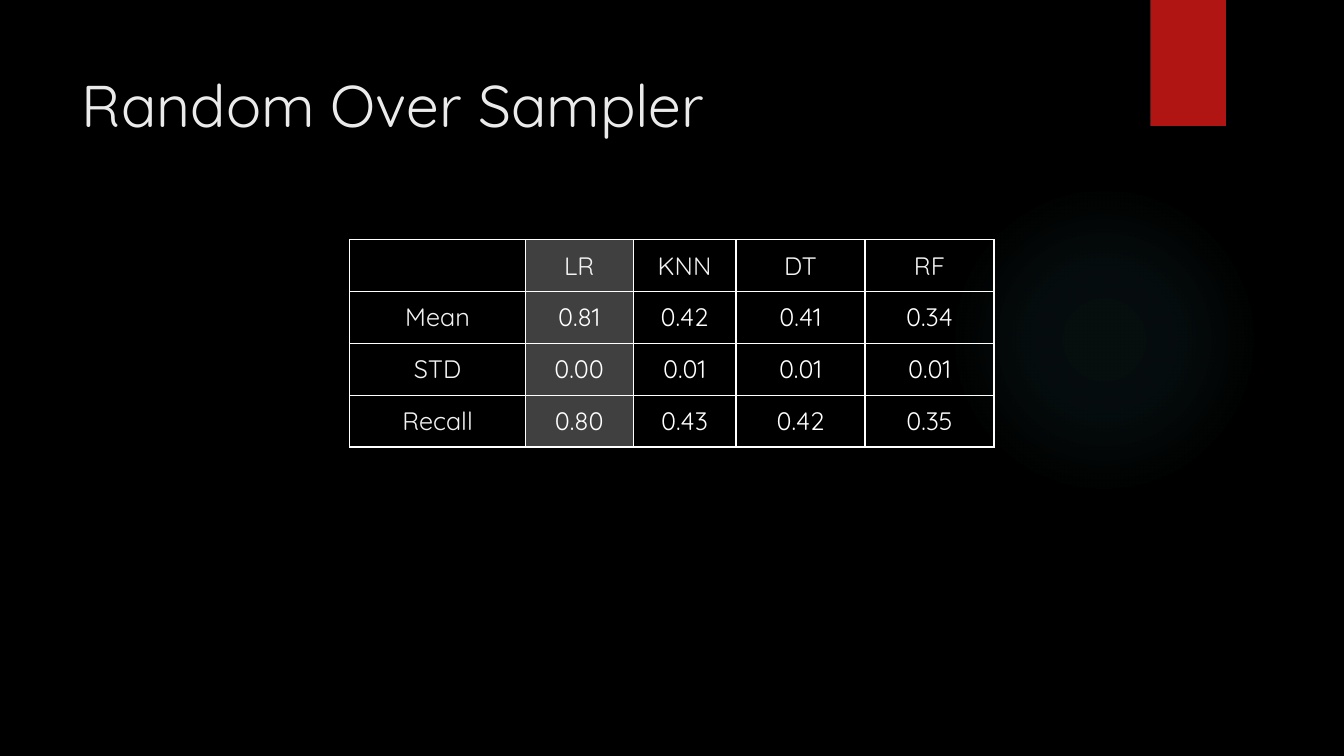
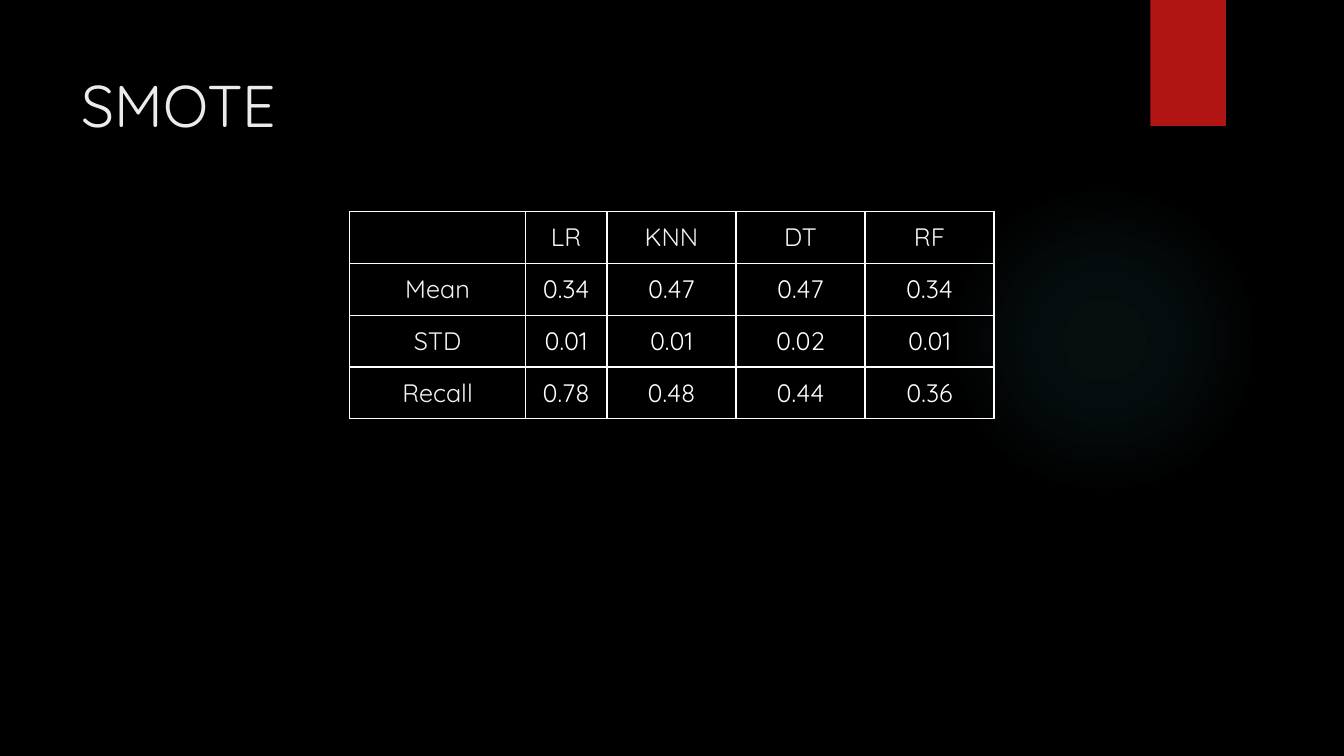
from pptx import Presentation
from pptx import oxml
from pptx.dml.color import RGBColor
from pptx.enum import shapes, text
from pptx.oxml import ns
from pptx.util import Inches, Pt

COLORS = {
    "background": "000000",
    "glow": "50B9C1",
    "ribbon": "B01513",
    "title": "EBEBEB",
    "label": "F3F3F3",
    "value": "FFFFFF",
    "border": "FFFFFF",
    "highlight": "404040",
}
FONT = "Quicksand"
TITLE_FONT = {"name": FONT, "size": Pt(42), "bold": False}
CELL_FONT = {"name": FONT, "size": Pt(18), "bold": False}
TITLE_BOX = {"left": Inches(0.71), "top": Inches(0.61),
             "width": Inches(10.29), "height": Inches(0.84)}
TITLE_FRAME = {"word_wrap": True, "vertical_anchor": text.MSO_ANCHOR.MIDDLE}
CELL_FRAME = {f"margin_{side}": Inches(0.1)
              for side in ("left", "right", "top", "bottom")}
PLAIN_TABLE = {"first_row": False, "horz_banding": False}
TABLE_LEFT, ROW_HEIGHT = 3.47, 0.51
MODELS = ["", "LR", "KNN", "DT", "RF"]
RESULTS = [
    {
        "title": "Random Over Sampler",
        "top": 2.38,
        "widths": [1.74, 1.07, 1.02, 1.28, 1.28],
        "best": "LR",
        "rows": [
            ["Mean", "0.81", "0.42", "0.41", "0.34"],
            ["STD", "0.00", "0.01", "0.01", "0.01"],
            ["Recall", "0.80", "0.43", "0.42", "0.35"],
        ],
    },
    {
        "title": "SMOTE",
        "top": 2.1,
        "widths": [1.74, 0.81, 1.28, 1.28, 1.28],
        "best": None,
        "rows": [
            ["Mean", "0.34", "0.47", "0.47", "0.34"],
            ["STD", "0.01", "0.01", "0.02", "0.01"],
            ["Recall", "0.78", "0.48", "0.44", "0.36"],
        ],
    },
]


def rgb(name):
    """Return the named palette colour."""
    return RGBColor.from_string(COLORS[name])


def apply(target, formats):
    """Set every format value on the target."""
    for key, value in formats.items():
        setattr(target, key, value)


def xml(tag, body, attrs=""):
    """Build a DrawingML element."""
    return oxml.parse_xml(
        f"<a:{tag} {ns.nsdecls('a')} {attrs}>{body}</a:{tag}>")


def color_xml(name, alpha=100):
    """Return colour markup with an opacity in percent."""
    return (f'<a:srgbClr val="{COLORS[name]}">'
            f'<a:alpha val="{alpha * 1000}"/></a:srgbClr>')


def add_plain_shape(s, kind, box):
    """Add a shape without fill, line or shadow."""
    sp = s.shapes.add_shape(kind, *map(Inches, box))
    sp.shadow.inherit = False
    sp.fill.background()
    sp.line.fill.background()
    return sp


def add_glow(s):
    """Add the faint round glow."""
    sp = add_plain_shape(s, shapes.MSO_SHAPE.OVAL, (9.41, 1.83, 3.08, 3.08))
    stops = "".join(
        f'<a:gs pos="{pos * 1000}">{color_xml("glow", alpha)}</a:gs>'
        for pos, alpha in ((0, 7), (36, 6), (69, 0)))
    center = 'l="50000" t="50000" r="50000" b="50000"'
    gradient = xml("gradFill", f'<a:gsLst>{stops}</a:gsLst><a:path path="circle">'
                   f'<a:fillToRect {center}/></a:path>')
    props = sp.element.spPr
    props.replace(props.find(ns.qn("a:noFill")), gradient)
    return sp


def add_ribbon(s):
    """Add the red ribbon at the top edge."""
    sp = add_plain_shape(s, shapes.MSO_SHAPE.RECTANGLE, (11.41, 0, 0.75, 1.25))
    sp.fill.solid()
    sp.fill.fore_color.rgb = rgb("ribbon")
    shadow = xml("outerShdw", color_xml("background", 45),
                 f'blurRad="{Pt(3)}" dist="{Pt(2)}" dir="5400000" rotWithShape="0"')
    sp.element.spPr.find(ns.qn("a:effectLst")).append(shadow)
    return sp


def decorate_master(prs, s):
    """Put the background, glow and ribbon on the slide master."""
    master = prs.slide_master
    fill = master.background.fill
    fill.solid()
    fill.fore_color.rgb = rgb("background")
    for i, sp in enumerate((add_glow(s), add_ribbon(s))):
        sp.element.nvSpPr.cNvPr.set("id", str(20 + i))
        master.shapes.element.insert(2 + i, sp.element)


def write(p, content, font, color, align):
    """Write one formatted run into a paragraph."""
    p.alignment = align
    r = p.add_run()
    r.text = content
    apply(r.font, font)
    r.font.color.rgb = rgb(color)


def set_title(s, content):
    """Place and fill the title placeholder."""
    title = s.shapes.title
    apply(title, TITLE_BOX)
    tf = title.text_frame
    apply(tf, TITLE_FRAME)
    tf.auto_size = text.MSO_AUTO_SIZE.NONE
    write(tf.paragraphs[0], content, TITLE_FONT, "title", text.PP_ALIGN.LEFT)


def format_cell(cell, content, color, highlighted):
    """Fill, frame and write a table cell."""
    apply(cell, CELL_FRAME)
    if highlighted:
        cell.fill.solid()
        cell.fill.fore_color.rgb = rgb("highlight")
    else:
        cell.fill.background()
    props = cell._tc.get_or_add_tcPr()
    for i, side in enumerate("LRTB"):
        fill = f'<a:solidFill>{color_xml("border")}</a:solidFill>'
        props.insert(i, xml(f"ln{side}", fill, f'w="{Pt(1)}"'))
    if content:
        write(cell.text_frame.paragraphs[0], content, CELL_FONT, color,
              text.PP_ALIGN.CENTER)


def add_scores(s, result):
    """Add the table of model scores."""
    rows, widths = [MODELS, *result["rows"]], result["widths"]
    table = s.shapes.add_table(
        len(rows), len(MODELS), Inches(TABLE_LEFT), Inches(result["top"]),
        Inches(sum(widths)), Inches(ROW_HEIGHT * len(rows))).table
    apply(table, PLAIN_TABLE)
    for column, width in zip(table.columns, widths):
        column.width = Inches(width)
    for i, row in enumerate(rows):
        for j, content in enumerate(row):
            color = "value" if i and j else "label"
            format_cell(table.cell(i, j), content, color,
                        MODELS[j] == result["best"])


def main():
    """Build and save the presentation."""
    prs = Presentation()
    apply(prs, {"slide_width": Inches(13.33), "slide_height": Inches(7.5)})
    layout = prs.slide_layouts.get_by_name("Title Only")
    for result in RESULTS:
        s = prs.slides.add_slide(layout)
        set_title(s, result["title"])
        add_scores(s, result)
    decorate_master(prs, s)
    prs.save("out.pptx")


if __name__ == "__main__":
    main()
